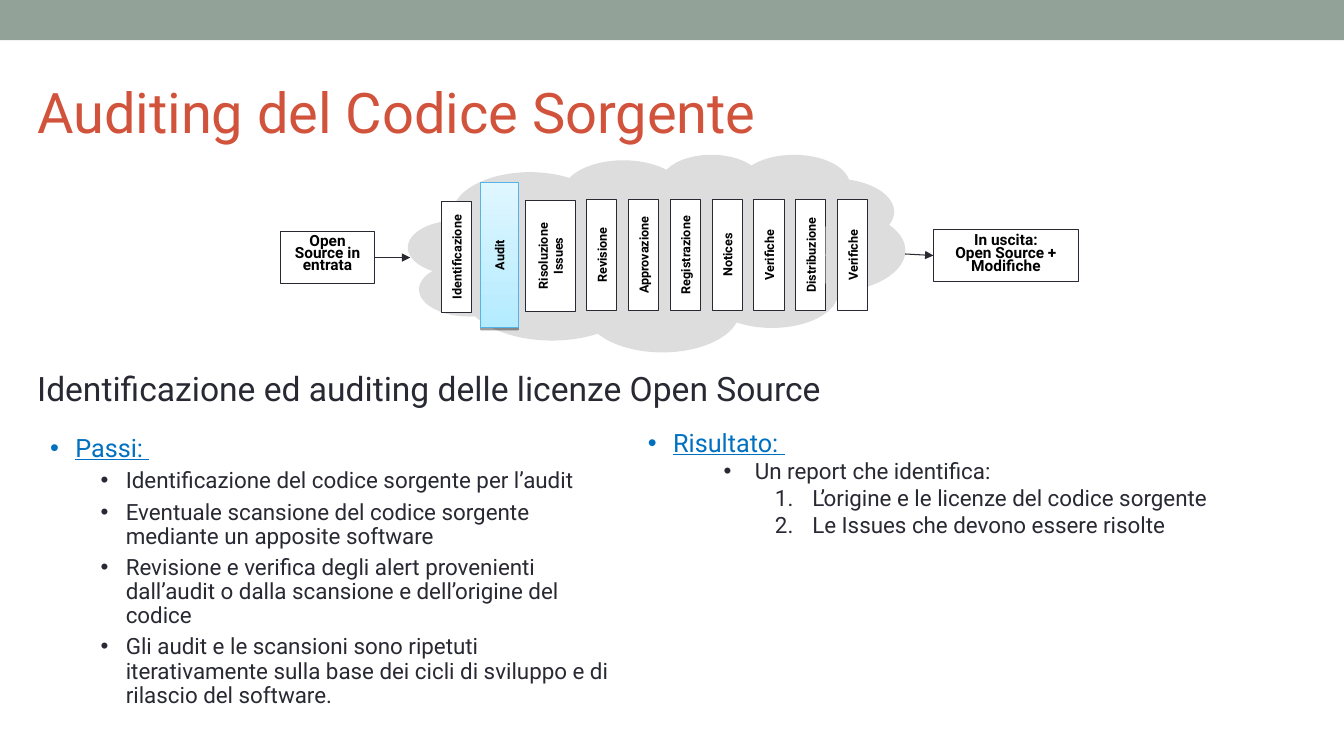
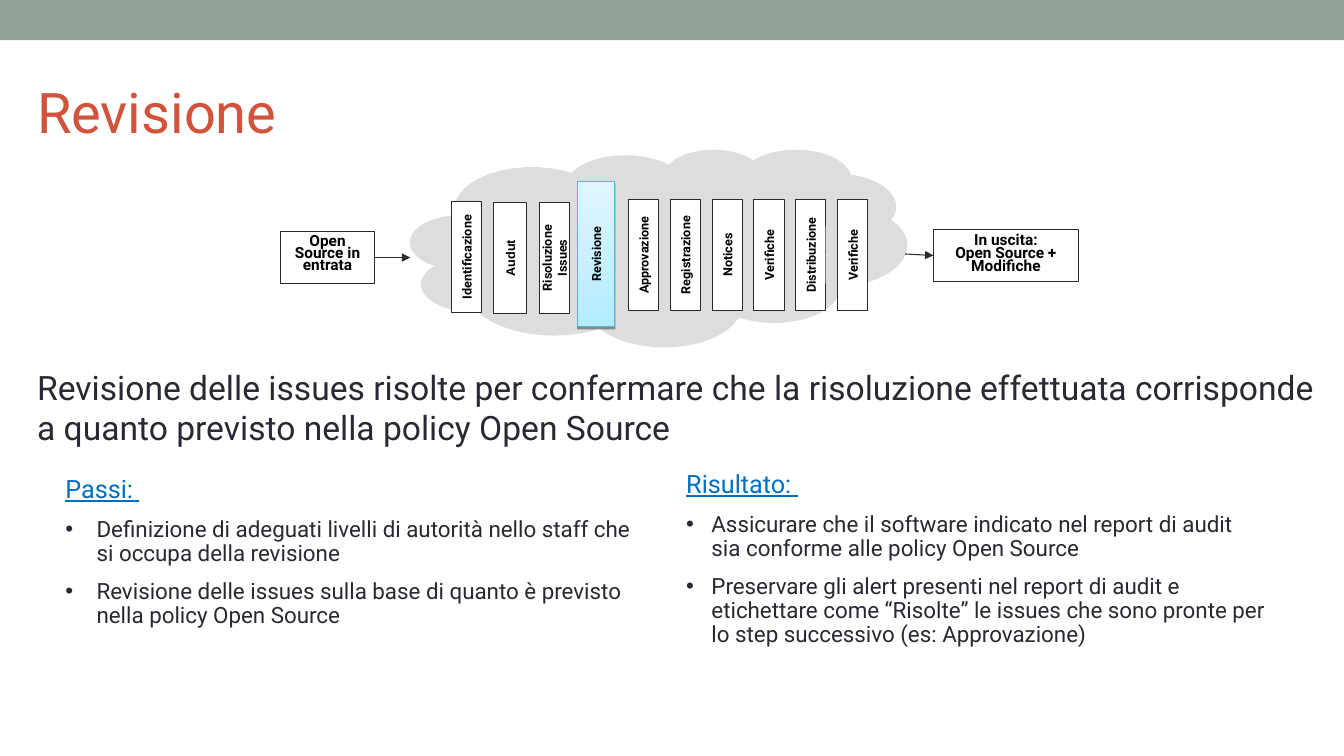
from dataclasses import dataclass

from lxml import etree
from pptx import Presentation
from pptx import util as u
from pptx.dml.color import RGBColor
from pptx.enum import shapes, text
from pptx.oxml.ns import qn


@dataclass(frozen=True)
class Theme:
    font: str = "Roboto"
    bullet_font: str = "Arial"
    band: str = "93A299"
    title: str = "D2533C"
    ink: str = "292934"
    heading: str = "0070C0"
    cloud: str = "DDDDDD"
    box: str = "FFFFFF"
    label: str = "000000"
    glow_top: str = "E0F7FF"
    glow_bottom: str = "B4EBFF"
    glow_line: str = "55B4E5"
    title_size: float = 40
    lead_size: float = 24
    heading_size: float = 18
    body_size: float = 16
    end_size: float = 11
    step_size: float = 9
    line: float = 0.75


@dataclass(frozen=True)
class Style:
    """Paragraph format; left and hang are in grid cells."""
    size: float
    color: str
    bold: bool = False
    underline: bool = False
    align: object = text.PP_ALIGN.LEFT
    spacing: float = 1.0
    before: float = 0
    bullet: str = ""
    left: float = 0
    hang: float = 0
    level: int = 0
    font: str = Theme.font


@dataclass(frozen=True)
class Step:
    """Process step; center and thickness are in grid cells."""
    name: str
    cx: float
    cy: float = 25.3
    thick: float = 3
    font: str = Theme.font
    active: bool = False


T = Theme()
CENTER = text.PP_ALIGN.CENTER
MIDDLE = text.MSO_ANCHOR.MIDDLE
RECT = shapes.MSO_SHAPE.RECTANGLE

# Grid of square cells: 75 rows on the slide's height
COLS, ROWS = 133.33, 75
CELL = u.Inches(7.5) / ROWS
STEP_LENGTH, ACTIVE_LENGTH, ACTIVE_THICK = 11, 14.4, 3.7
TAIL_START, TAIL_PITCH = 63.85, 4.15
TAIL_NAMES = ["Approvazione", "Registrazione", "Notices",
              "Verifiche", "Distribuzione", "Verifiche"]

TITLE = Style(T.title_size, T.title)
LEAD = Style(T.lead_size, T.ink)
HEADING = Style(T.heading_size, T.heading, underline=True, spacing=0.9)
HEADING_DOT = Style(T.heading_size, T.heading, underline=True, spacing=0.9,
                    bullet="•", left=2.5, hang=2.5)


def item(left, hang, **extra):
    return Style(T.body_size, T.ink, left=left, hang=hang,
                 **{"bullet": "•", **extra})


def end_label(spacing):
    return Style(T.end_size, T.label, bold=True, align=CENTER, spacing=spacing)


def g(cells):
    return u.Emu(round(cells * CELL))


def rgb(color):
    return RGBColor.from_string(color)


def sub(parent, tag, **attrs):
    return etree.SubElement(parent, qn(tag), attrs)


# Text
def add_bullet(p, st):
    pPr = p._p.get_or_add_pPr()
    pPr.set("marL", str(g(st.left)))
    pPr.set("indent", str(-g(st.hang)))
    sub(sub(pPr, "a:buClr"), "a:srgbClr", val=st.color)
    if st.bullet == "1.":
        sub(pPr, "a:buFont", typeface=st.font)
        sub(pPr, "a:buAutoNum", type="arabicPeriod")
    else:
        sub(pPr, "a:buFont", typeface=T.bullet_font)
        sub(pPr, "a:buChar", char=st.bullet)


def write(sp, paragraphs, anchor=text.MSO_ANCHOR.TOP):
    tf = sp.text_frame
    tf.word_wrap = True
    tf.vertical_anchor = anchor
    for i, (st, words) in enumerate(paragraphs):
        p = tf.add_paragraph() if i else tf.paragraphs[0]
        p.alignment = st.align
        p.level = st.level
        p.line_spacing = st.spacing
        p.space_before = u.Pt(st.before)
        if st.bullet:
            add_bullet(p, st)
        r = p.add_run()
        r.text = words
        f = r.font
        f.name, f.size, f.bold = st.font, u.Pt(st.size), st.bold
        f.underline = st.underline
        f.color.rgb = rgb(st.color)


def add_text(s, at, paragraphs, **kw):
    sp = s.shapes.add_textbox(*map(g, at))
    write(sp, paragraphs, **kw)
    return sp


# Shapes
def add_shape(s, kind, at, fill=None, line=None):
    sp = s.shapes.add_shape(kind, *map(g, at))
    sp.shadow.inherit = False
    if fill:
        sp.fill.solid()
        sp.fill.fore_color.rgb = rgb(fill)
    if line:
        sp.line.color.rgb = rgb(line)
        sp.line.width = u.Pt(T.line)
    else:
        sp.line.fill.background()
    return sp


def add_arrow(s, start, end):
    c = s.shapes.add_connector(shapes.MSO_CONNECTOR.STRAIGHT,
                               *map(g, start + end))
    c.line.color.rgb = rgb(T.ink)
    c.line.width = u.Pt(T.line)
    sub(c.line._get_or_add_ln(), "a:tailEnd", type="triangle")
    sub(c._element.spPr, "a:effectLst")
    return c


def centered(cx, cy, w, h):
    return cx - w / 2, cy - h / 2, w, h


def add_glow_bar(s, at):
    sp = add_shape(s, RECT, at, line=T.glow_line)
    sp.fill.gradient()
    sp.fill.gradient_angle = 270
    for stop, color in zip(sp.fill.gradient_stops, (T.glow_top, T.glow_bottom)):
        stop.color.rgb = rgb(color)
    effects = sp._element.spPr.find(qn("a:effectLst"))
    shadow = sub(effects, "a:outerShdw", blurRad="0",
                 dist=str(u.Pt(1.6)), dir="5400000", rotWithShape="0")
    sub(sub(shadow, "a:srgbClr", val="000000"), "a:alpha", val="38000")


def add_step(s, step):
    label = [(Style(T.step_size, T.label, bold=True, align=CENTER,
                    font=step.font), step.name)]
    if step.active:
        add_glow_bar(s, centered(step.cx, step.cy, ACTIVE_THICK, ACTIVE_LENGTH))
        sp = add_text(s, centered(step.cx, step.cy, ACTIVE_LENGTH, ACTIVE_THICK),
                      label, anchor=MIDDLE)
    else:
        sp = add_shape(s, RECT,
                       centered(step.cx, step.cy, STEP_LENGTH, step.thick),
                       T.box, T.ink)
        write(sp, label, anchor=MIDDLE)
    sp.rotation = 270


# Process: input box, cloud with steps, output box
def add_process(s, cloud_at, first_steps):
    cloud = add_shape(s, shapes.MSO_SHAPE.CLOUD_CALLOUT,
                      cloud_at + (49.3, 19.6), T.cloud)
    cloud.adjustments[0], cloud.adjustments[1] = -0.25, 0.16

    tail = [Step(name, TAIL_START + i * TAIL_PITCH)
            for i, name in enumerate(TAIL_NAMES)]
    for step in first_steps + tail:
        add_step(s, step)

    source = add_shape(s, RECT, (27.8, 23, 9.4, 5.1), T.box, T.ink)
    write(source, [(end_label(0.65), words)
                   for words in ("Open", "Source in entrata")])
    result = add_shape(s, RECT, (92.6, 22.8, 14.4, 5.1), T.box, T.ink)
    write(result, [(end_label(0.7), words)
                   for words in ("In uscita:", "Open Source + Modifiche")])
    add_arrow(s, (37.2, 25.55), (40.7, 25.55)).begin_connect(source, 3)
    add_arrow(s, (89.8, 25.2), (92.6, 25.35)).end_connect(result, 1)


# Shared frame
def add_master_band(prs, s):
    band = add_shape(s, RECT, (0, 0, COLS, 4), T.band)
    prs.slide_master.shapes.element.append(band._element)


def add_slide(prs, title, lead, lead_at):
    s = prs.slides.add_slide(prs.slide_layouts[6])
    add_text(s, (2.7, 5.6, 120, 10.8), [(TITLE, title)], anchor=MIDDLE)
    add_text(s, lead_at, [(LEAD, lead)])
    return s


def audit_slide(prs):
    s = add_slide(prs, "Auditing del Codice Sorgente",
                  "Identificazione ed auditing delle licenze Open Source",
                  (2.7, 36, 99.2, 5))
    add_process(s, (40.5, 15.3), [
        Step("Identificazione", 45.3, 25.5),
        Step("Audit", 49.55, active=True),
        Step("Risoluzione Issues", 54.6, 25.4, thick=5),
        Step("Revisione", 59.7),
    ])
    task = item(7.5, 2.5, level=1, spacing=0.9, before=5)
    add_text(s, (4, 42.7, 58, 28.6), [
        (HEADING_DOT, "Passi: "),
        (task, "Identificazione del codice sorgente per l’audit"),
        (task, "Eventuale scansione del codice sorgente mediante un "
               "apposite software"),
        (task, "Revisione e verifica degli alert provenienti dall’audit o "
               "dalla scansione e dell’origine del codice"),
        (task, "Gli audit e le scansioni sono ripetuti iterativamente sulla "
               "base dei cicli di sviluppo e di rilascio del software."),
    ])
    finding = item(16.3, 3.7, level=1, bullet="1.")
    add_text(s, (63.3, 42.2, 63.2, 25.2), [
        (HEADING_DOT, "Risultato: "),
        (item(10.6, 3.1), "Un report che identifica:"),
        (finding, "L’origine e le licenze del codice sorgente"),
        (finding, "Le Issues che devono essere risolte"),
    ])
    return s


def review_slide(prs):
    s = add_slide(prs, "Revisione",
                  "Revisione delle issues risolte per confermare che la "
                  "risoluzione effettuata corrisponde a quanto previsto "
                  "nella policy Open Source",
                  (2.7, 35.9, 130.6, 5))
    add_process(s, (40.7, 14.8), [
        Step("Identificazione", 46.3, 25.5),
        Step("Audut", 50.6, 25.6, thick=3.2, font="Arial"),
        Step("Risoluzione Issues", 55, 25.6),
        Step("Revisione", 59.15, 25.2, active=True),
    ])
    task = item(3.1, 3.1, spacing=0.9, before=10)
    add_text(s, (5.5, 46.8, 58.6, 23.9), [
        (HEADING, "Passi: "),
        (task, "Definizione di adeguati livelli di autorità nello staff che "
               "si occupa della revisione"),
        (task, "Revisione delle issues sulla base di quanto è previsto "
               "nella policy Open Source"),
    ])
    outcome = item(2.5, 2.5, spacing=0.9, before=10)
    add_text(s, (67.1, 46.3, 59.4, 24.5), [
        (HEADING, "Risultato: "),
        (outcome, "Assicurare che il software indicato nel report di audit "
                  "sia conforme alle policy Open Source"),
        (outcome, "Preservare gli alert presenti nel report di audit e "
                  "etichettare come “Risolte” le issues che sono pronte per "
                  "lo step successivo (es: Approvazione)"),
    ])


def main():
    prs = Presentation()
    prs.slide_width, prs.slide_height = g(COLS), g(ROWS)
    s = audit_slide(prs)
    add_master_band(prs, s)
    review_slide(prs)
    prs.save("out.pptx")


if __name__ == "__main__":
    main()
